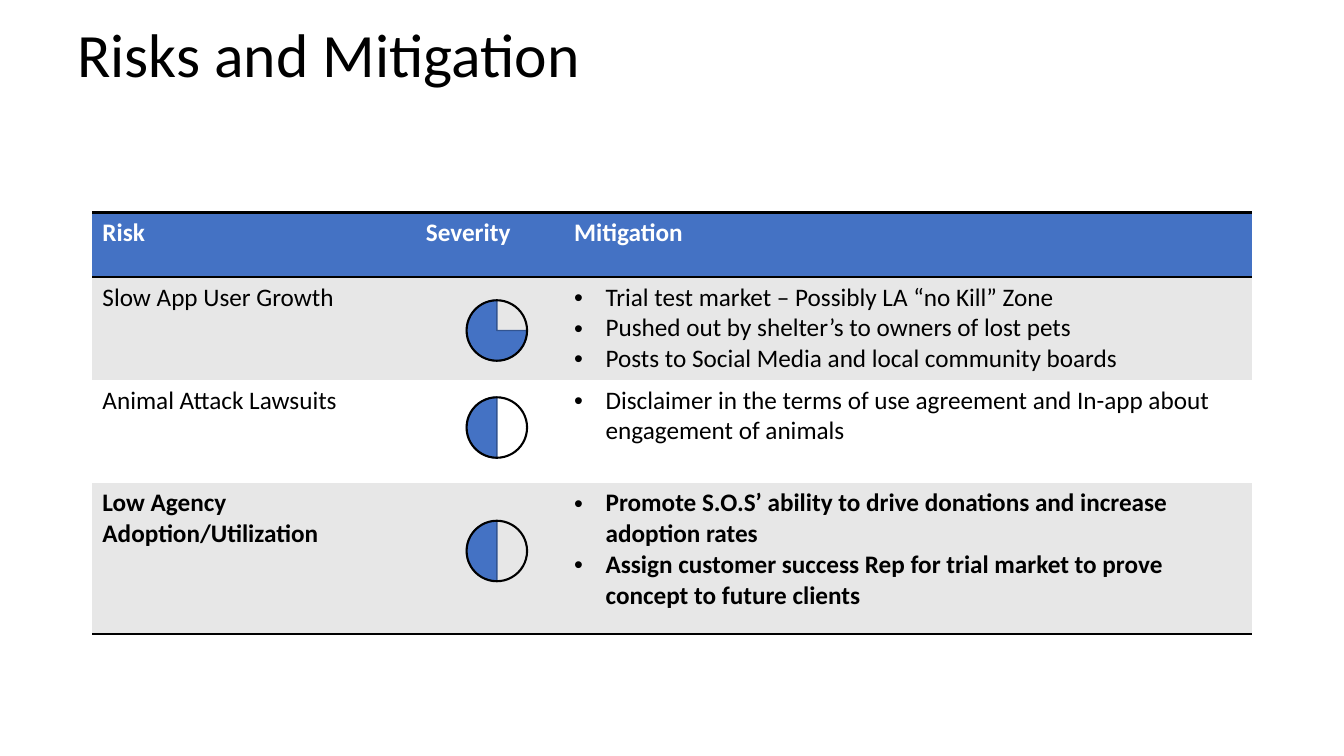
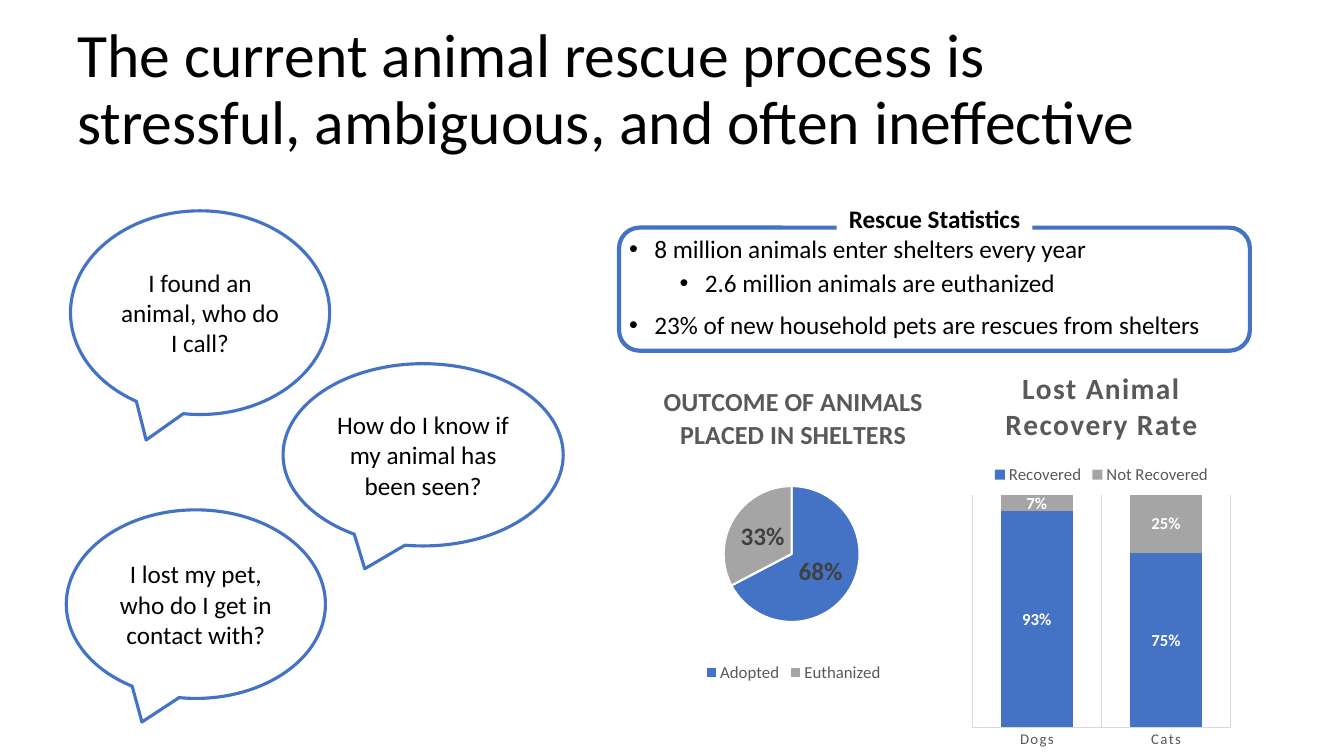
from dataclasses import dataclass

import lxml.etree
import pptx
import pptx.chart.data
import pptx.dml.color
import pptx.enum.chart
import pptx.enum.shapes
import pptx.enum.text
import pptx.oxml
import pptx.oxml.ns
import pptx.util

qn = pptx.oxml.ns.qn
Pt = pptx.util.Pt
SHAPE = pptx.enum.shapes.MSO_SHAPE
ALIGN = pptx.enum.text.PP_ALIGN
ANCHOR = pptx.enum.text.MSO_ANCHOR
CHART = pptx.enum.chart


@dataclass(frozen=True)
class Theme:
    font: str = "Calibri"
    black: str = "000000"
    white: str = "FFFFFF"
    blue: str = "4472C4"
    dark_blue: str = "325491"
    gray: str = "A5A5A5"
    band: str = "E7E7E7"
    rule: str = "D9D9D9"
    muted: str = "595959"
    label: str = "404040"
    title_size: float = 44
    text_size: float = 18
    pie_title_size: float = 18.6
    column_title_size: float = 21
    legend_size: float = 12
    axis_size: float = 10.6


THEME = Theme()
COLUMNS, ROWS = 32, 18
SLIDE_WIDTH, SLIDE_HEIGHT = pptx.util.Inches(13.33), pptx.util.Inches(7.5)
NO_TABLE_STYLE = "{2D5ABB26-0587-4C30-8999-92F81FD0307C}"


def across(columns):
    return round(SLIDE_WIDTH * columns / COLUMNS)


def down(rows):
    return round(SLIDE_HEIGHT * rows / ROWS)


def place(left, top, width, height):
    return across(left), down(top), across(width), down(height)


def rgb(color):
    return pptx.dml.color.RGBColor.from_string(color)


def paint(fill, color):
    if color:
        fill.solid()
        fill.fore_color.rgb = rgb(color)
    else:
        fill.background()


def draw_line(line, color, width):
    paint(line.fill, color)
    if color:
        line.width = Pt(width)


def format_font(font, size=THEME.text_size, color=THEME.black, bold=False):
    font.name = THEME.font
    font.size = Pt(size)
    font.bold = bold
    font.color.rgb = rgb(color)


def add_bullet(paragraph, indent, hanging):
    properties = paragraph._p.get_or_add_pPr()
    properties.set("marL", str(across(indent)))
    properties.set("indent", str(-across(hanging)))
    lxml.etree.SubElement(properties, qn("a:buFont"), typeface="Arial")
    lxml.etree.SubElement(properties, qn("a:buChar"), char="•")


def write(paragraph, text, align=ALIGN.LEFT, line_spacing=None, space_before=0,
          level=0, bullet=None, spacing=None, **font):
    if bullet:
        add_bullet(paragraph, *bullet)
    paragraph.level = level
    paragraph.alignment = align
    paragraph.space_before = Pt(space_before)
    if line_spacing:
        paragraph.line_spacing = line_spacing
    run = paragraph.add_run()
    run.text = text
    format_font(run.font, **font)
    if spacing:
        run.font._element.set("spc", str(spacing))


def write_lines(text_frame, lines, **formatting):
    for index, line in enumerate(lines):
        paragraph = text_frame.add_paragraph() if index else text_frame.paragraphs[0]
        write(paragraph, line, **formatting)


def move(shape, box):
    shape.left, shape.top, shape.width, shape.height = place(*box)


def add_slide(presentation, layout, title, box):
    slide = presentation.slides.add_slide(presentation.slide_layouts[layout])
    shape = slide.shapes.title
    move(shape, box)
    shape.text_frame.auto_size = pptx.enum.text.MSO_AUTO_SIZE.NONE
    shape.text_frame.vertical_anchor = ANCHOR.MIDDLE
    write(shape.text_frame.paragraphs[0], title, line_spacing=0.9,
          size=THEME.title_size)
    return slide


def add_shape(slide, kind, box, fill=None, line=None, width=1, text=None, **font):
    shape = slide.shapes.add_shape(kind, *place(*box))
    shape.shadow.inherit = False
    paint(shape.fill, fill)
    draw_line(shape.line, line, width)
    if text:
        shape.text_frame.word_wrap = True
        shape.text_frame.vertical_anchor = ANCHOR.MIDDLE
        write(shape.text_frame.paragraphs[0], text, align=ALIGN.CENTER, **font)
    return shape


def add_gauge(slide, top, start_degrees):
    box = (11.11, top, 1.44, 1.44)
    wedge = add_shape(slide, SHAPE.PIE, box, THEME.blue, THEME.dark_blue)
    for index, degrees in enumerate((start_degrees, 270)):
        wedge.adjustments[index] = degrees * 0.6
    add_shape(slide, SHAPE.FLOWCHART_CONNECTOR, box, line=THEME.black, width=1.5)


def add_border(cell, side):
    properties = cell._tc.get_or_add_tcPr()
    border = pptx.oxml.parse_xml(
        f'<a:{side} {pptx.oxml.ns.nsdecls("a")} w="{Pt(2)}"><a:solidFill>'
        f'<a:srgbClr val="{THEME.black}"/></a:solidFill></a:{side}>')
    properties.insert(len(properties.findall(qn("a:lnT"))), border)


def add_risk_table(slide, rows):
    widths, heights = (7.7, 3.53, 16.37), (1.54, 2.45, 2.45, 3.6)
    frame = slide.shapes.add_table(
        len(rows), len(widths), *place(2.2, 5.06, sum(widths), sum(heights)))
    next(frame.element.iter(qn("a:tableStyleId"))).text = NO_TABLE_STYLE
    table = frame.table
    for column, width in zip(table.columns, widths):
        column.width = across(width)
    for row, height in zip(table.rows, heights):
        row.height = down(height)
    last = len(rows) - 1
    for row_index, contents in enumerate(rows):
        header = row_index == 0
        body_fill = THEME.band if row_index % 2 else THEME.white
        for column_index, lines in enumerate(contents):
            cell = table.cell(row_index, column_index)
            paint(cell.fill, THEME.blue if header else body_fill)
            if header:
                add_border(cell, "lnT")
            if row_index in (0, last):
                add_border(cell, "lnB")
            bulleted = column_index == 2 and not header
            write_lines(cell.text_frame, lines,
                        bullet=(0.75, 0.75) if bulleted else None,
                        color=THEME.white if header else THEME.black,
                        bold=row_index in (0, last))


def set_plot_layout(chart, **shares):
    plot_area = next(chart.element.iter(qn("c:plotArea")))
    for layout in plot_area.findall(qn("c:layout")):
        plot_area.remove(layout)
    layout = lxml.etree.Element(qn("c:layout"))
    manual = lxml.etree.SubElement(layout, qn("c:manualLayout"))
    values = {"layoutTarget": "inner", "xMode": "edge", "yMode": "edge", **shares}
    for name, value in values.items():
        lxml.etree.SubElement(manual, qn(f"c:{name}"), val=str(value))
    plot_area.insert(0, layout)


def add_chart(slide, kind, box, categories, series, title, legend, layout, **title_format):
    data = pptx.chart.data.CategoryChartData(number_format="0%")
    data.categories = categories
    for name, values in series:
        data.add_series(name, values)
    chart = slide.shapes.add_chart(kind, *place(*box), data).chart
    format_font(chart.font, size=10)
    chart.has_title = True
    write(chart.chart_title.text_frame.paragraphs[0], title, align=ALIGN.CENTER,
          color=THEME.muted, bold=True, **title_format)
    chart.has_legend = True
    chart.legend.position = legend
    chart.legend.include_in_layout = False
    format_font(chart.legend.font, THEME.legend_size, THEME.muted)
    set_plot_layout(chart, **layout)
    return chart


def add_labels(plot, **font):
    plot.has_data_labels = True
    labels = plot.data_labels
    labels.show_value = True
    labels.number_format = "0%"
    labels.number_format_is_linked = False
    labels.position = CHART.XL_LABEL_POSITION.CENTER
    format_font(labels.font, bold=True, **font)


def add_outcome_chart(slide):
    chart = add_chart(
        slide, CHART.XL_CHART_TYPE.PIE, (14.74, 8.74, 8.3, 7.61),
        ["Adopted", "Euthanized"], [("Series 1", (0.68, 0.33))],
        "OUTCOME OF ANIMALS PLACED IN SHELTERS", CHART.XL_LEGEND_POSITION.BOTTOM,
        dict(x=0.3, y=0.37, w=0.39, h=0.43), size=THEME.pie_title_size)
    plot = chart.plots[0]
    plot.vary_by_categories = True
    for index, color in enumerate((THEME.blue, THEME.gray)):
        point = plot.series[0].points[index]
        paint(point.format.fill, color)
        draw_line(point.format.line, THEME.white, 1.5)
    add_labels(plot, color=THEME.label)


def add_recovery_chart(slide):
    chart = add_chart(
        slide, CHART.XL_CHART_TYPE.COLUMN_STACKED, (23.02, 8.3, 6.41, 9.7),
        ["Dogs", "Cats"],
        [("Recovered", (0.93, 0.75)), ("Not Recovered", (0.07, 0.25))],
        "Lost Animal Recovery Rate", CHART.XL_LEGEND_POSITION.TOP,
        dict(x=0.02, y=0.36, w=0.96, h=0.57),
        size=THEME.column_title_size, spacing=100)
    plot = chart.plots[0]
    plot.vary_by_categories = False
    plot.gap_width, plot.overlap = 79, 100
    for series, color in zip(plot.series, (THEME.blue, THEME.gray)):
        paint(series.format.fill, color)
    add_labels(plot, size=THEME.legend_size, color=THEME.white)
    value_axis, category_axis = chart.value_axis, chart.category_axis
    value_axis.minimum_scale, value_axis.maximum_scale = 0, 1
    value_axis.has_major_gridlines = False
    value_axis.visible = False
    category_axis.has_major_gridlines = True
    category_axis.major_tick_mark = CHART.XL_TICK_MARK.NONE
    for line in (category_axis.format.line, category_axis.major_gridlines.format.line):
        draw_line(line, THEME.rule, 0.75)
    font = category_axis.tick_labels.font
    format_font(font, THEME.axis_size, THEME.muted)
    font._element.set("spc", "100")


def add_statistics(slide):
    body = slide.placeholders[1]
    move(body, (14.74, 5.52, 15.02, 2.78))
    text_frame = body.text_frame
    text_frame.auto_size = pptx.enum.text.MSO_AUTO_SIZE.NONE
    statistics = [
        ("8 million animals enter shelters every year", 0, 0),
        ("2.6 million animals are euthanized", 1, 5),
        ("23% of new household pets are rescues from shelters", 0, 10),
    ]
    for index, (text, level, space) in enumerate(statistics):
        paragraph = text_frame.add_paragraph() if index else text_frame.paragraphs[0]
        write(paragraph, text, level=level, space_before=space, line_spacing=0.9,
              bullet=(0.6 + 1.2 * level, 0.6))
    add_shape(slide, SHAPE.ROUNDED_RECTANGLE, (14.74, 5.42, 15.02, 2.93),
              line=THEME.blue, width=3)
    add_shape(slide, SHAPE.RECTANGLE, (19.92, 4.73, 4.66, 0.96), THEME.white,
              text="Rescue Statistics", bold=True)


def build_risk_slide(presentation):
    slide = add_slide(presentation, 5, "Risks and Mitigation", (1.6, 0, 27.6, 2.76))
    add_risk_table(slide, [
        (["Risk"], ["Severity"], ["Mitigation"]),
        (["Slow App User Growth"], [], [
            "Trial test market – Possibly LA “no Kill” Zone",
            "Pushed out by shelter’s to owners of lost pets",
            "Posts to Social Media and local community boards"]),
        (["Animal Attack Lawsuits"], [], [
            "Disclaimer in the terms of use agreement and In-app about "
            "engagement of animals"]),
        (["Low Agency Adoption/Utilization"], [], [
            "Promote S.O.S’ ability to drive donations and increase adoption rates",
            "Assign customer success Rep for trial market to prove concept "
            "to future clients"]),
    ])
    for top, start_degrees in ((7.15, 0), (9.46, 90), (12.4, 90)):
        add_gauge(slide, top, start_degrees)


def build_process_slide(presentation):
    slide = add_slide(
        presentation, 1,
        "The current animal rescue process is stressful, ambiguous, and often ineffective",
        (1.6, 0.43, 27.07, 3.48))
    questions = [
        ("I found an animal, who do I call?", (1.68, 5.02, 6.17, 4.85)),
        ("I lost my pet, who do I get in contact with?", (1.58, 12.14, 6.17, 4.49)),
        ("How do I know if my animal has been seen?", (6.74, 8.66, 6.67, 4.34)),
    ]
    for text, box in questions:
        add_shape(slide, SHAPE.OVAL_CALLOUT, box, THEME.white, THEME.blue, 2.25, text)
    add_outcome_chart(slide)
    add_recovery_chart(slide)
    add_statistics(slide)


def main():
    presentation = pptx.Presentation()
    presentation.slide_width, presentation.slide_height = SLIDE_WIDTH, SLIDE_HEIGHT
    build_risk_slide(presentation)
    build_process_slide(presentation)
    presentation.save("out.pptx")


if __name__ == "__main__":
    main()
